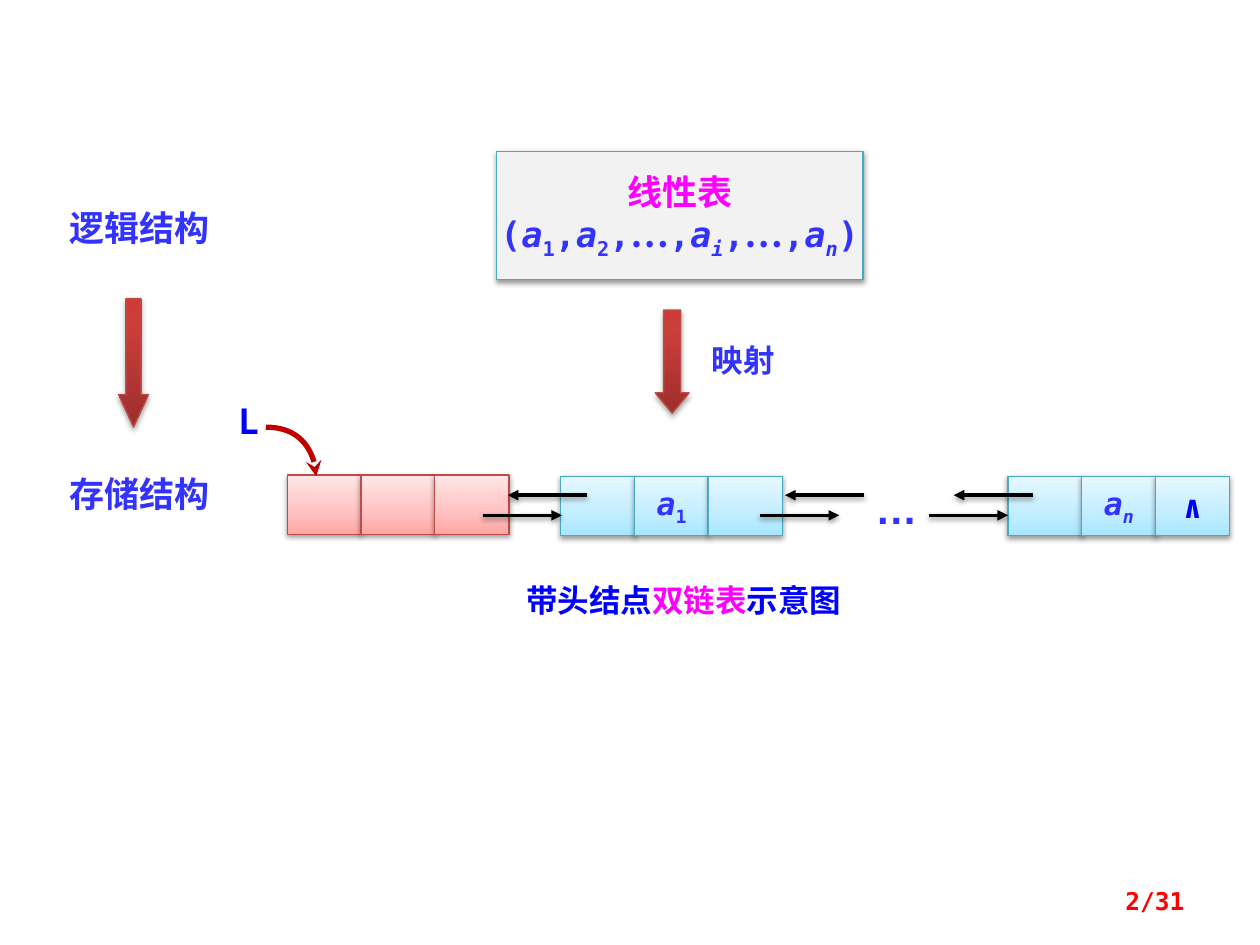
from copy import deepcopy
from pptx import Presentation
from pptx import util as u
from pptx.dml.color import RGBColor
from pptx.enum import shapes, text
from pptx.oxml import parse_xml
from pptx.oxml.ns import nsdecls, qn

BLUE = RGBColor(0x33, 0x33, 0xFF)
PURE_BLUE = RGBColor(0x00, 0x00, 0xFF)
MAGENTA = RGBColor(0xFF, 0x00, 0xFF)
RED = RGBColor(0xFF, 0x00, 0x00)
DARK_RED = RGBColor(0xC0, 0x00, 0x00)
BLACK = RGBColor(0x00, 0x00, 0x00)
PALE_GREY = RGBColor(0xF2, 0xF2, 0xF2)
RED_EDGE = RGBColor(0xBF, 0x4C, 0x48)
CYAN_EDGE = RGBColor(0x46, 0xAA, 0xC5)
ARROW_FILL = [(0, RGBColor(0x9C, 0x2F, 0x2D)), (0.8, RGBColor(0xCB, 0x3E, 0x3A)),
              (1, RGBColor(0xCE, 0x3B, 0x37))]
RED_FILL = [(0, RGBColor(0xFF, 0xA6, 0xA5)), (0.35, RGBColor(0xFF, 0xC0, 0xBF)),
            (1, RGBColor(0xFF, 0xE7, 0xE7))]
CYAN_FILL = [(0, RGBColor(0xA7, 0xE6, 0xFF)), (0.35, RGBColor(0xC1, 0xED, 0xFF)),
             (1, RGBColor(0xE7, 0xF8, 0xFF))]
MONO, HAN = "DejaVu Sans Mono", "Noto Sans CJK SC"
CENTER, LEFT, RIGHT = text.PP_ALIGN.CENTER, text.PP_ALIGN.LEFT, text.PP_ALIGN.RIGHT
ITALIC, SUB = {"italic": True}, {"sub": True}
ITALIC_SUB = ITALIC | SUB


def write(shape, lines, size, font, align=CENTER):
    frame = shape.text_frame
    for number, spans in enumerate(lines):
        para = frame.add_paragraph() if number else frame.paragraphs[0]
        para.alignment = align
        para.font.size = u.Pt(size)
        para.font.bold = True
        for words, color, style in spans:
            span = para.add_run()
            span.text = words
            span.font.size = u.Pt(size)
            span.font.bold = True
            span.font.italic = style.get("italic", False)
            span.font.color.rgb = color
            span.font.name = style.get("font", font)
            properties = span.font._element
            face = parse_xml(f'<a:ea {nsdecls("a")} typeface="{span.font.name}"/>')
            properties.find(qn("a:latin")).addnext(face)
            if "sub" in style:
                properties.set("baseline", "-25000")


def add_shadow(shape, opacity=38, distance=1.6):
    shape._element.spPr.append(parse_xml(
        f'<a:effectLst {nsdecls("a")}><a:outerShdw blurRad="{u.Pt(3.1)}" '
        f'dist="{u.Pt(distance)}" dir="5400000" rotWithShape="0"><a:srgbClr val="000000">'
        f'<a:alpha val="{opacity * 1000}"/></a:srgbClr></a:outerShdw></a:effectLst>'))


deck = Presentation()
deck.slide_width, deck.slide_height = u.Inches(10), u.Inches(7.5)
page = deck.slides.add_slide(deck.slide_layouts[6])

list_box = page.shapes.add_shape(shapes.MSO_SHAPE.RECTANGLE, u.Inches(3.94), u.Inches(1.2),
                                 u.Inches(2.91), u.Inches(1.02))
list_box.fill.solid()
list_box.fill.fore_color.rgb = PALE_GREY
list_box.line.color.rgb = CYAN_EDGE
list_box.line.width = u.Pt(0.75)
add_shadow(list_box)
formula = [("(", BLUE, {})]
for index, style in (("1", SUB), ("2", SUB), ("…", None), ("i", ITALIC_SUB),
                     ("…", None), ("n", ITALIC_SUB)):
    if style:
        formula += [("a", BLUE, ITALIC), (index, BLUE, style)]
    else:
        formula.append((index, BLUE, {"font": HAN}))
    formula.append((")" if index == "n" else ",", BLUE, {}))
list_box.text_frame.word_wrap = False
write(list_box, [[("线性表", MAGENTA, {})], formula], 20, MONO)

blocks = [
    (5.2, 2.46, 0.27, 0.82, 0.6, ARROW_FILL, RED_EDGE, []),
    (0.94, 2.37, 0.24, 1.02, 1.08, ARROW_FILL, RED_EDGE, []),
]
nodes = [
    (2.28, 3.77, RED_FILL, RED_EDGE, [[], [], []]),
    (4.45, 3.78, CYAN_FILL, CYAN_EDGE, [[], [("a", BLUE, ITALIC), ("1", BLUE, SUB)], []]),
    (8, 3.78, CYAN_FILL, CYAN_EDGE,
     [[], [("a", BLUE, ITALIC), ("n", BLUE, ITALIC_SUB)], [("∧", PURE_BLUE, {})]]),
]
for left, top, stops, edge, cells in nodes:
    for column, spans in enumerate(cells):
        blocks.append((left + 0.585 * column, top, 0.59, 0.47, None, stops, edge, spans))

for left, top, width, height, head, stops, edge, spans in blocks:
    kind = shapes.MSO_SHAPE.DOWN_ARROW if head else shapes.MSO_SHAPE.RECTANGLE
    block = page.shapes.add_shape(kind, u.Inches(left), u.Inches(top),
                                  u.Inches(width), u.Inches(height))
    if head:
        block.adjustments[1] = head
    block.fill.gradient()
    block.fill.gradient_angle = 90
    stop_list = block._element.spPr.find(".//" + qn("a:gsLst"))
    stop_list.append(deepcopy(stop_list[-1]))
    for stop, (position, color) in zip(block.fill.gradient_stops, stops):
        stop.position = position
        stop.color.rgb = color
    block.line.color.rgb = edge
    block.line.width = u.Pt(0.75)
    add_shadow(block, *((35, 1.8) if head else ()))
    if spans:
        block.text_frame.word_wrap = False
        write(block, [spans], 18, MONO)

for left, top, width, height, spans, size, font, align in (
    (5.55, 2.66, 1.09, 0.4, [("映射", BLUE, {})], 18, HAN, LEFT),
    (0.16, 1.59, 1.89, 0.44, [("逻辑结构", BLUE, {})], 20, HAN, CENTER),
    (0.16, 3.7, 1.89, 0.44, [("存储结构", BLUE, {})], 20, HAN, CENTER),
    (3.59, 4.56, 3.67, 0.4, [("带头结点", PURE_BLUE, {}), ("双链表", MAGENTA, {}),
                             ("示意图", PURE_BLUE, {})], 18, HAN, CENTER),
    (6.8, 3.78, 0.63, 0.5, [("…", BLUE, {})], 24, "Arial", CENTER),
    (1.79, 3.12, 0.47, 0.44, [("L", PURE_BLUE, {})], 20, MONO, LEFT),
    (7.17, 6.95, 2.33, 0.4, [("2/31", RED, {})], 14, MONO, RIGHT),
):
    label = page.shapes.add_textbox(u.Inches(left), u.Inches(top),
                                    u.Inches(width), u.Inches(height))
    label.text_frame.word_wrap = True
    if align == RIGHT:
        label.text_frame.vertical_anchor = text.MSO_ANCHOR.MIDDLE
    write(label, [spans], size, font, align)

outline = page.shapes.build_freeform(u.Inches(2.11), u.Inches(3.39))
outline.add_line_segments([(u.Inches(x), u.Inches(y)) for x, y in
                           ((2.33, 3.39), (2.51, 3.56), (2.51, 3.78))], close=False)
pointer = outline.convert_to_shape()
segments = pointer._element.spPr.findall(".//" + qn("a:lnTo"))
curve = parse_xml(f'<a:cubicBezTo {nsdecls("a")}/>')
segments[0].addprevious(curve)
for segment in segments:
    curve.append(segment[0])
    segment.getparent().remove(segment)
pointer.fill.background()
pointer.shadow.inherit = False
pointer.line.color.rgb = DARK_RED
pointer.line.width = u.Pt(3)
pointer.line._get_or_add_ln().append(parse_xml(f'<a:tailEnd {nsdecls("a")} type="stealth"/>'))

for left, y, end in ((3.83, 4.09, "tailEnd"), (4.03, 3.93, "headEnd"),
                     (6.03, 4.09, "tailEnd"), (6.23, 3.93, "headEnd"),
                     (7.37, 4.09, "tailEnd"), (7.57, 3.93, "headEnd")):
    link = page.shapes.add_connector(shapes.MSO_CONNECTOR.STRAIGHT, u.Inches(left), u.Inches(y),
                                     u.Inches(left + 0.63), u.Inches(y))
    link.line.color.rgb = BLACK
    link.line.width = u.Pt(2)
    link.line._get_or_add_ln().append(parse_xml(f'<a:{end} {nsdecls("a")} type="triangle"/>'))
    add_shadow(link)

deck.save("out.pptx")
